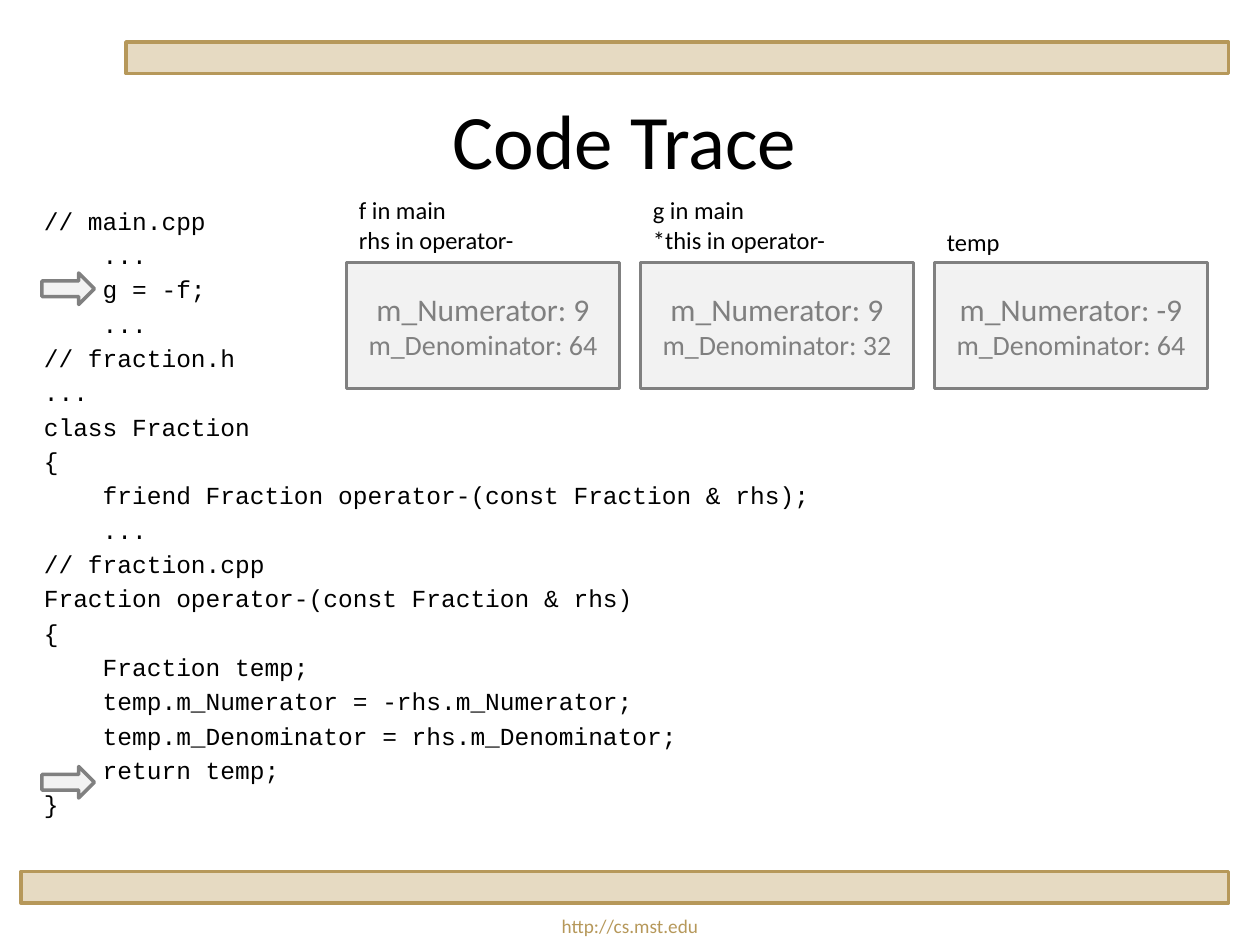
from pptx import Presentation
from pptx.dml.color import RGBColor
from pptx.enum.shapes import MSO_SHAPE as Shape
from pptx.enum.text import MSO_ANCHOR as Anchor, PP_ALIGN as Align
from pptx.util import Pt

COLORS = {
    "tan": "E6DAC2", "gold": "B6985A",
    "light": "F2F2F2", "gray": "808080", "black": "000000",
}

CODE = """\
// main.cpp
    ...
    g = -f;
    ...
// fraction.h
...
class Fraction
{
    friend Fraction operator-(const Fraction & rhs);
    ...
// fraction.cpp
Fraction operator-(const Fraction & rhs)
{
    Fraction temp;
    temp.m_Numerator = -rhs.m_Numerator;
    temp.m_Denominator = rhs.m_Denominator;
    return temp;
}"""


def add_outlined(kind, left, top, width, height, fill, line):
    shape = slide.shapes.add_shape(kind, Pt(left), Pt(top), Pt(width), Pt(height))
    shape.shadow.inherit = False
    shape.fill.solid()
    shape.fill.fore_color.rgb = RGBColor.from_string(COLORS[fill])
    shape.line.color.rgb = RGBColor.from_string(COLORS[line])
    shape.line.width = Pt(2)
    return shape


def write_lines(frame, lines, sizes, color="black", font="Calibri", align=Align.LEFT):
    """Write one paragraph per line; sizes holds one size per line."""
    for number, (line, size) in enumerate(zip(lines, sizes)):
        paragraph = frame.paragraphs[0] if number == 0 else frame.add_paragraph()
        paragraph.alignment = align
        run = paragraph.add_run()
        run.text = line
        run.font.name = font
        run.font.size = Pt(size)
        run.font.color.rgb = RGBColor.from_string(COLORS[color])


deck = Presentation()
deck.slide_width, deck.slide_height = Pt(720), Pt(540)
slide = deck.slides.add_slide(deck.slide_layouts[6])

# Bars, footer and title
add_outlined(Shape.RECTANGLE, 72, 24, 630, 18, "tan", "gold")
add_outlined(Shape.RECTANGLE, 12, 498, 690, 18, "tan", "gold")

footer = slide.shapes.add_textbox(Pt(0), Pt(519), Pt(720), Pt(21)).text_frame
footer.word_wrap = True
write_lines(footer, ["http://cs.mst.edu"], [11], "gold", align=Align.CENTER)

title = slide.shapes.add_textbox(Pt(12), Pt(48), Pt(690), Pt(63)).text_frame
title.word_wrap = True
title.vertical_anchor = Anchor.MIDDLE
write_lines(title, ["Code Trace"], [44], align=Align.CENTER)

# Code listing
listing = slide.shapes.add_textbox(Pt(18), Pt(114), Pt(678), Pt(216)).text_frame
listing.word_wrap = True
code_lines = CODE.split("\n")
write_lines(listing, code_lines, [14] * len(code_lines), font="Courier New")
for paragraph in listing.paragraphs[1:]:
    paragraph.space_before = Pt(2.8)

# Arrows at the call and at the return
for arrow_top in (156, 438):
    add_outlined(Shape.RIGHT_ARROW, 24, arrow_top, 30, 18, "light", "gray")

# Objects in memory: labels, numerator, denominator
objects = [
    (["f in main", "rhs in operator-"], 9, 64),
    (["g in main", "*this in operator-"], 9, 32),
    (["temp"], -9, 64),
]
for column, (labels, numerator, denominator) in enumerate(objects):
    left = 198 + 168 * column
    box = add_outlined(Shape.RECTANGLE, left, 150, 156, 72, "light", "gray").text_frame
    box.word_wrap = True
    box.vertical_anchor = Anchor.MIDDLE
    members = [f"m_Numerator: {numerator}", f"m_Denominator: {denominator}"]
    write_lines(box, members, [18, 16], "gray", align=Align.CENTER)

    label_top = 108 if len(labels) == 2 else 126
    label = slide.shapes.add_textbox(Pt(left), Pt(label_top), Pt(115), Pt(150 - label_top))
    label.text_frame.word_wrap = False
    write_lines(label.text_frame, labels, [14] * len(labels))

deck.save("out.pptx")
